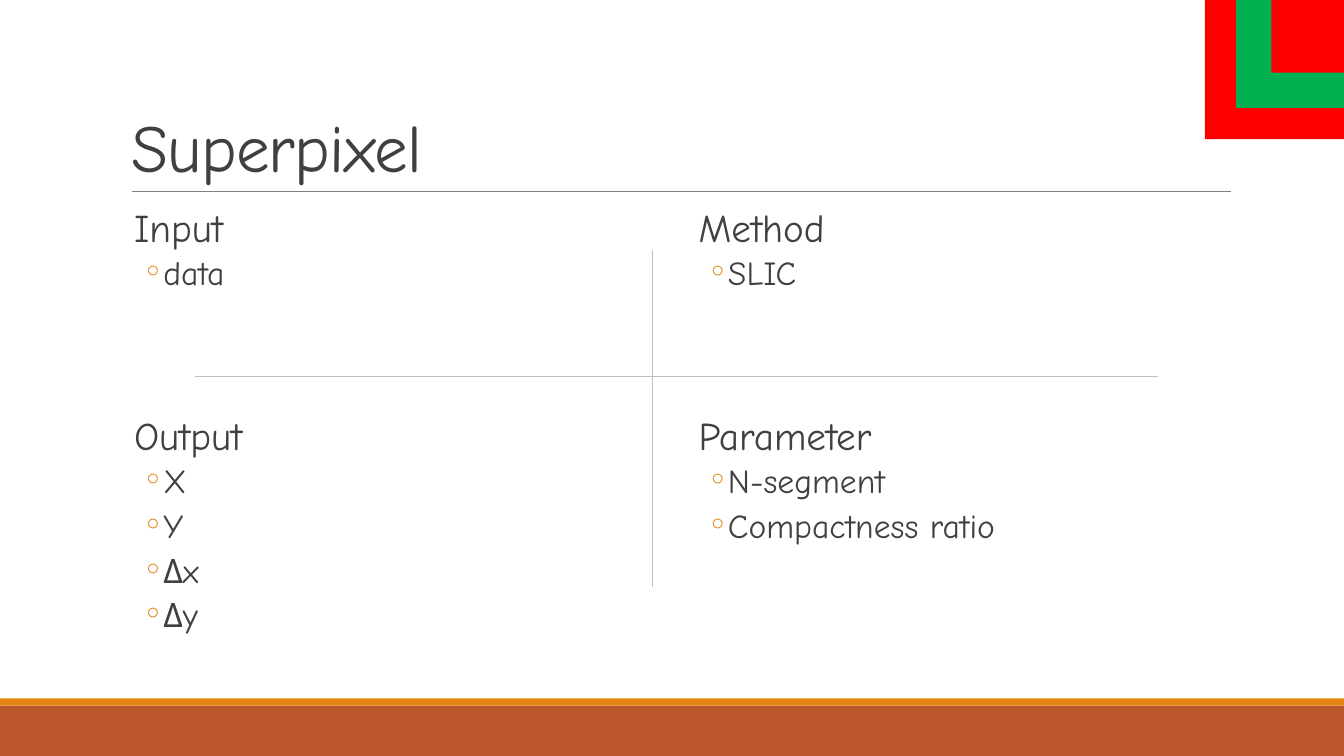
from lxml import etree
from pptx import Presentation
from pptx.dml.color import RGBColor
from pptx.enum.shapes import MSO_CONNECTOR, MSO_SHAPE
from pptx.enum.text import MSO_ANCHOR, MSO_AUTO_SIZE, PP_ALIGN
from pptx.oxml.ns import qn
from pptx.util import Inches, Pt

STRAIGHT = MSO_CONNECTOR.STRAIGHT
RECTANGLE = MSO_SHAPE.RECTANGLE
LEFT = PP_ALIGN.LEFT
TOP, BOTTOM = MSO_ANCHOR.TOP, MSO_ANCHOR.BOTTOM
NO_AUTOFIT = MSO_AUTO_SIZE.NONE

FONT = "Comic Neue"
INK = RGBColor(0x40, 0x40, 0x40)
RUST = RGBColor(0xBD, 0x58, 0x2C)
ORANGE = RGBColor(0xE4, 0x83, 0x12)
RULE_GRAY = RGBColor(0x80, 0x80, 0x80)
CROSS_GRAY = RGBColor(0xBF, 0xBF, 0xBF)
RED = RGBColor(0xFF, 0x00, 0x00)
GREEN = RGBColor(0x00, 0xB0, 0x50)

# Slide grid, in inches
WIDTH, HEIGHT = 13.33, 7.5
MARGIN = 1.2
CONTENT_WIDTH = 11
COLUMN_WIDTH, GUTTER = 5.4, 0.2
BODY_TOP, BODY_HEIGHT = 2.02, 4.4
SECTION_GAP = 84.5  # points above the lower heading of a column

COLUMNS = [
    [("Input", ["data"]), ("Output", ["X", "Y", "Δx", "Δy"])],
    [("Method", ["SLIC"]), ("Parameter", ["N-segment", "Compactness ratio"])],
]


def add_rectangle(slide, box, color):
    shape = slide.shapes.add_shape(RECTANGLE, *map(Inches, box))
    shape.shadow.inherit = False
    shape.fill.solid()
    shape.fill.fore_color.rgb = color
    shape.line.fill.background()


def add_line(slide, start, end, color, width):
    line = slide.shapes.add_connector(STRAIGHT, *map(Inches, start + end))
    line.line.color.rgb = color
    line.line.width = Pt(width)
    etree.SubElement(line._element.spPr, qn("a:effectLst"))


def place(placeholder, box):
    placeholder.left, placeholder.top, placeholder.width, placeholder.height = map(Inches, box)
    frame = placeholder.text_frame
    frame.word_wrap = True
    frame.auto_size = NO_AUTOFIT
    return frame


def add_run(paragraph, text, size):
    run = paragraph.add_run()
    run.text = text
    run.font.name = FONT
    run.font.size = Pt(size)
    run.font.color.rgb = INK
    return run


def set_bullet(paragraph, symbol, margin, hanging):
    properties = paragraph._p.get_or_add_pPr()
    properties.set("marL", str(Inches(margin)))
    properties.set("indent", str(-Inches(hanging)))
    color = etree.SubElement(properties, qn("a:buClr"))
    etree.SubElement(color, qn("a:srgbClr"), val=str(ORANGE))
    etree.SubElement(properties, qn("a:buFont"), typeface=FONT)
    etree.SubElement(properties, qn("a:buChar"), char=symbol)


def add_title(placeholder, box, text):
    frame = place(placeholder, box)
    frame.vertical_anchor = BOTTOM
    paragraph = frame.paragraphs[0]
    paragraph.alignment = LEFT
    paragraph.line_spacing = 0.85
    run = add_run(paragraph, text, 48)
    run.font._element.set("spc", "-50")


def add_column(placeholder, box, sections):
    frame = place(placeholder, box)
    frame.vertical_anchor = TOP
    frame.margin_left = frame.margin_right = 0
    frame.margin_top = frame.margin_bottom = Inches(0.05)

    # Each entry: text, level, space before
    entries = []
    for heading, items in sections:
        entries.append((heading, 0, SECTION_GAP if entries else 12))
        entries += [(item, 1, 2) for item in items]

    for index, (text, level, space_before) in enumerate(entries):
        paragraph = frame.add_paragraph() if index else frame.paragraphs[0]
        paragraph.level = level
        paragraph.alignment = LEFT
        paragraph.line_spacing = 0.9
        paragraph.space_before = Pt(space_before)
        paragraph.space_after = Pt(4 if level else 2)
        if level:
            set_bullet(paragraph, "◦", 0.42, 0.2)
        else:
            set_bullet(paragraph, " ", 0.1, 0.1)
        add_run(paragraph, text, 24 if level else 28)


def add_footer_bands(slide, top):
    add_rectangle(slide, (0, top, WIDTH, HEIGHT - top), RUST)
    add_rectangle(slide, (0, top - 0.07, WIDTH, 0.07), ORANGE)


def add_cross(slide, left, top, width, height):
    center_x, center_y = left + 0.475 * width, top + 0.375 * height
    add_line(slide, (center_x, top), (center_x, top + height), CROSS_GRAY, 1)
    add_line(slide, (left, center_y), (left + width, center_y), CROSS_GRAY, 1)


def add_corner_squares(slide, right, top):
    for side, color in ((1.38, RED), (1.07, GREEN), (0.72, RED)):
        add_rectangle(slide, (right - side, top, side, side), color)


def main():
    presentation = Presentation()
    presentation.slide_width = Inches(WIDTH)
    presentation.slide_height = Inches(HEIGHT)
    slide = presentation.slides.add_slide(presentation.slide_layouts[3])
    title, *bodies = slide.placeholders

    # Title and its rule
    add_title(title, (MARGIN, 0.31, CONTENT_WIDTH, 1.59), "Superpixel")
    add_line(slide, (1.31, 1.9), (12.21, 1.9), RULE_GRAY, 0.5)

    # Four quadrants in two columns
    for index, (body, sections) in enumerate(zip(bodies, COLUMNS)):
        left = MARGIN + index * (COLUMN_WIDTH + GUTTER)
        add_column(body, (left, BODY_TOP, COLUMN_WIDTH, BODY_HEIGHT), sections)
    add_cross(slide, 1.93, 2.48, 9.56, 3.34)

    # Decoration
    add_footer_bands(slide, 7)
    add_corner_squares(slide, WIDTH, 0)

    presentation.save("out.pptx")


if __name__ == "__main__":
    main()
